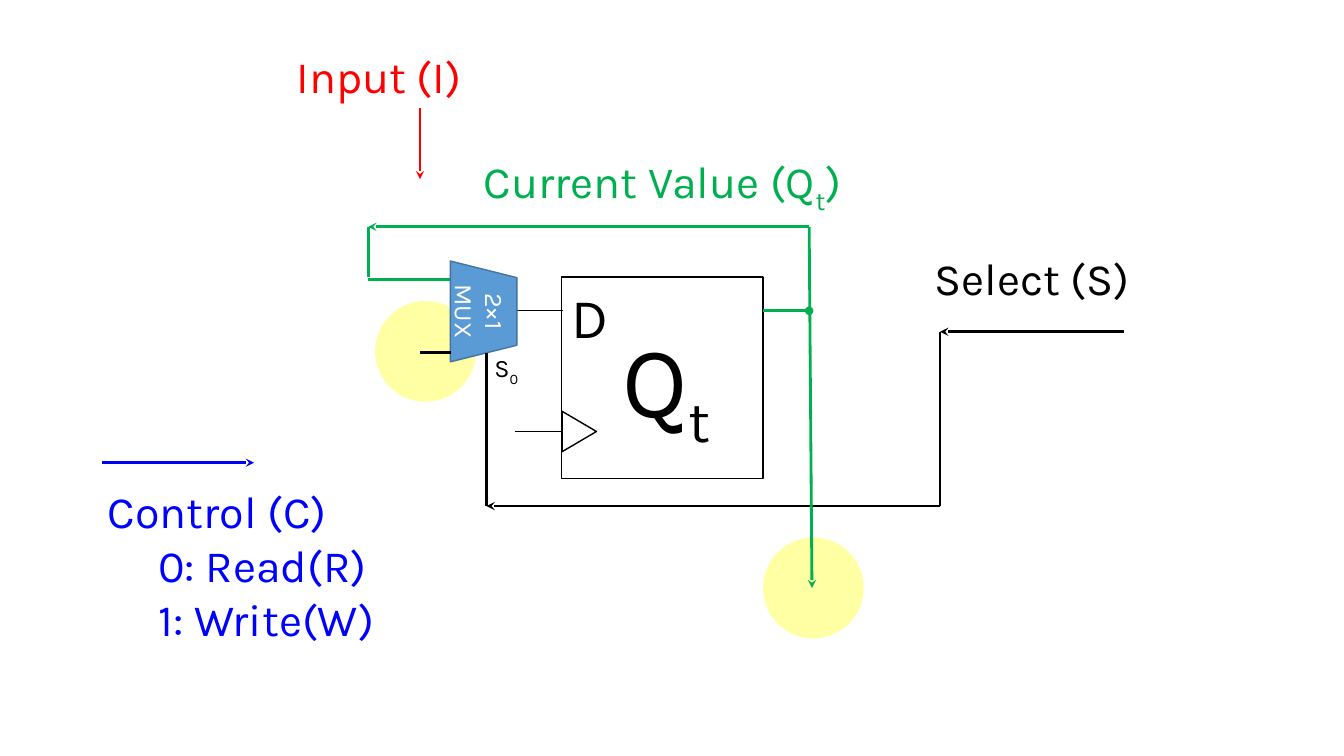
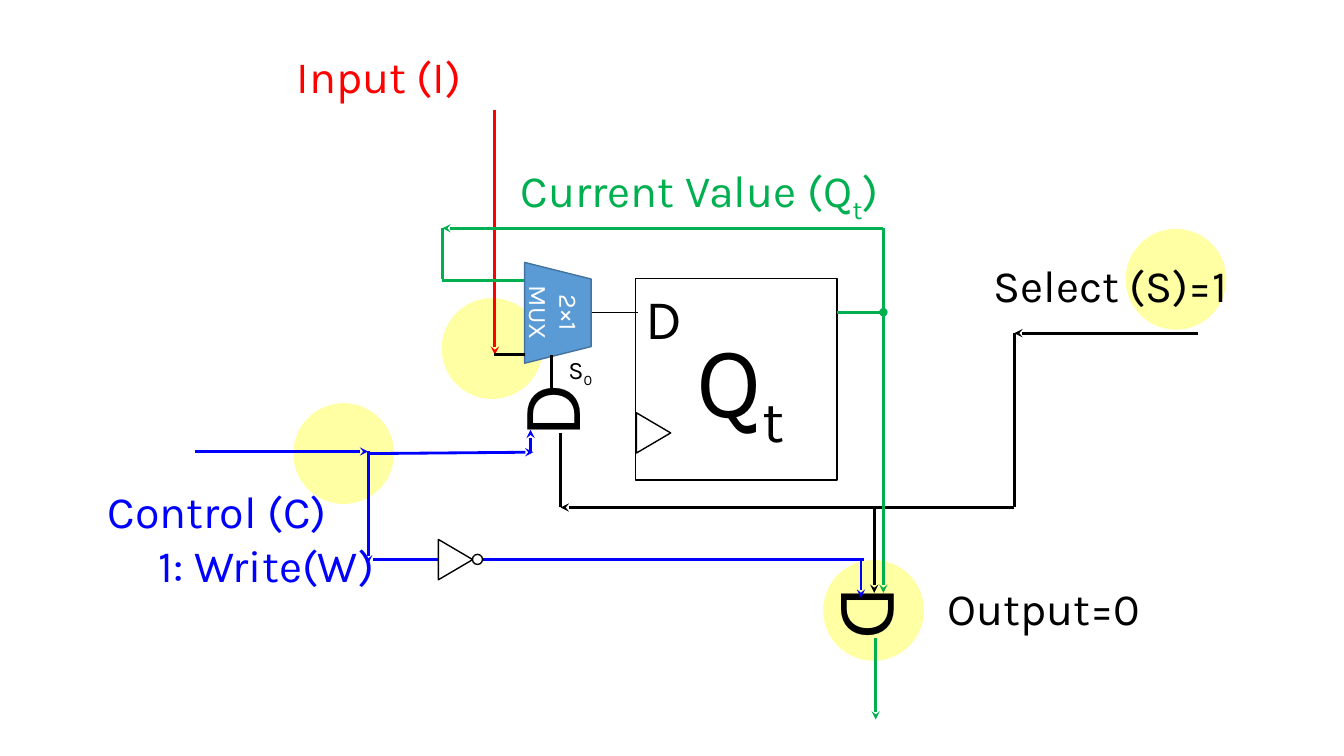
from dataclasses import dataclass

import pptx
import pptx.dml.color
import pptx.enum.shapes
import pptx.enum.text
import pptx.oxml.ns
import pptx.util
from lxml import etree

Pt = pptx.util.Pt
SHAPE = pptx.enum.shapes.MSO_SHAPE
ANCHOR = pptx.enum.text.MSO_ANCHOR
ALIGN = pptx.enum.text.PP_ALIGN


@dataclass(frozen=True)
class Theme:
    font: str = "Karla"
    black: str = "000000"
    white: str = "FFFFFF"
    red: str = "FF0000"
    green: str = "00B050"
    blue: str = "0000FF"
    yellow: str = "FFFF00"
    mux_fill: str = "5B9BD5"
    mux_line: str = "43739E"
    small: int = 18
    label: int = 32
    pin: int = 40
    gate: int = 60
    state: int = 72
    thin: float = 0.5
    outline: float = 1
    wire: float = 2


T = Theme()


def rgb(color):
    return pptx.dml.color.RGBColor.from_string(color)


def add_sub(parent, tag, **attrs):
    return etree.SubElement(parent, pptx.oxml.ns.qn(tag), attrs)


# Text: "_" toggles subscript inside a line
def write(tf, lines, size, color, align=ALIGN.LEFT, indent=0):
    tf.word_wrap = True
    for i, line in enumerate(lines):
        p = tf.add_paragraph() if i else tf.paragraphs[0]
        p.alignment = align
        if i and indent:
            p._p.get_or_add_pPr().set("marL", str(Pt(indent)))
        for j, part in enumerate(line.split("_")):
            r = p.add_run()
            r.text = part
            r.font.name = T.font
            r.font.size = Pt(size)
            r.font.color.rgb = rgb(color)
            if j % 2:
                r.font._element.set("baseline", "-25000")


def label(s, x, y, w, h, lines, color=T.black, size=T.label,
          align=ALIGN.LEFT, rotation=0, indent=0):
    sp = s.shapes.add_textbox(Pt(x), Pt(y), Pt(w), Pt(h))
    sp.rotation = rotation
    write(sp.text_frame, lines, size, color, align, indent)


def caption(s, x, y, text, color):
    label(s, x, y, 286.5, 46, [text], color, align=ALIGN.CENTER)


# Outlined or filled preset shape
def shape(s, kind, x, y, w, h, fill=None, line=None, rotation=0):
    sp = s.shapes.add_shape(kind, Pt(x), Pt(y), Pt(w), Pt(h))
    sp.shadow.inherit = False
    sp.rotation = rotation
    if fill:
        sp.fill.solid()
        sp.fill.fore_color.rgb = rgb(fill)
    else:
        sp.fill.background()
    if line:
        sp.line.color.rgb = rgb(line)
        sp.line.width = Pt(T.outline)
    else:
        sp.line.fill.background()
    return sp


def highlight(s, x, y):
    sp = shape(s, SHAPE.OVAL, x, y, 72, 72, T.yellow)
    color = sp.fill._xPr.find(".//" + pptx.oxml.ns.qn("a:srgbClr"))
    add_sub(color, "a:alpha", val="36000")


def wedge(s, x, y, fill=None):
    shape(s, SHAPE.ISOSCELES_TRIANGLE, x, y, 28.8, 24.5, fill, T.black, 90)


# Straight wire, with an optional tip at its end
def wire(s, x1, y1, x2, y2, color=T.black, tip=None, width=T.wire):
    c = s.shapes.add_connector(pptx.enum.shapes.MSO_CONNECTOR.STRAIGHT,
                               Pt(x1), Pt(y1), Pt(x2), Pt(y2))
    c.line.color.rgb = rgb(color)
    c.line.width = Pt(width)
    if tip:
        add_sub(c.line._get_or_add_ln(), "a:tailEnd", type=tip)
    add_sub(c._element.spPr, "a:effectLst")


def arrow(s, x1, y1, x2, y2, color=T.black):
    wire(s, x1, y1, x2, y2, color, "stealth")


# AND gate drawn as a turned letter D
def and_gate(s, x, y, rotation):
    label(s, x, y, 49.7, 80, ["D"], size=T.gate, rotation=rotation)


# Flip-flop, multiplexer, feedback loop and select line
def memory_cell(s, x, y, select_end):
    sp = shape(s, SHAPE.RECTANGLE, x, y, 144, 144, T.white, T.black)
    sp.text_frame.vertical_anchor = ANCHOR.TOP
    write(sp.text_frame, ["D"], T.pin, T.black)
    wedge(s, x - 1.6, y + 98)
    wire(s, x - 31.5, y + 24, x + 1.5, y + 24, width=T.thin)

    # Feedback of the stored value
    left, right, top = x - 138, x + 177, y - 36
    wire(s, x + 144, y + 24, right, y + 24, T.green, "oval")
    arrow(s, right, top, left, top, T.green)
    wire(s, left, top, left, y, T.green)
    wire(s, left, y + 1.5, x - 79, y + 1.5, T.green)

    # Multiplexer
    sp = shape(s, SHAPE.TRAPEZOID, x - 91.5, y + 0.7, 72, 47.5,
               T.mux_fill, T.mux_line, 90)
    sp.text_frame.vertical_anchor = ANCHOR.MIDDLE
    write(sp.text_frame, ["2×1", "MUX"], T.small, T.white, ALIGN.CENTER)
    wire(s, x - 101, y + 54, x - 79, y + 54)

    # Select line
    pin, corner, base = x - 53.5, x + 270.5, y + 163.5
    arrow(s, x + 402, y + 39, corner, y + 39)
    wire(s, corner, y + 39, corner, base)
    arrow(s, corner, base, pin, base)
    wire(s, pin, base, pin, select_end)

    label(s, x - 55, y + 50.3, 52, 29, ["S_0"], size=T.small)
    label(s, x + 36.5, 222.5, 85, 94.5, ["Q_t"], size=T.state)


def control_text(s, modes):
    label(s, 70, 342, 286.5, 124, ["Control (C)", *modes], T.blue, indent=36)


def inputs_slide(s):
    for x, y in ((268, 215), (545, 384)):
        highlight(s, x, y)
    memory_cell(s, 401, 198, 252)
    wire(s, 368, 308, 401, 308, width=T.thin)
    arrow(s, 300, 77, 300, 128, T.red)
    arrow(s, 578, 162, 580, 420, T.green)
    arrow(s, 73, 330.5, 181.5, 330.5, T.blue)

    control_text(s, ["0: Read(R)", "1: Write(W)"])
    caption(s, 330, 106.5, "Current Value (Q_t_)", T.green)
    caption(s, 127.5, 31, "Input (I)", T.red)
    caption(s, 594, 175.5, "Select (S)", T.black)


def write_slide(s):
    for x, y in ((588, 400), (315.5, 213), (804, 163.5), (209.5, 288)):
        highlight(s, x, y)
    arrow(s, 353.5, 78.5, 353.5, 253.5, T.red)
    memory_cell(s, 454, 199, 309.5)

    # Output gate
    arrow(s, 631, 163, 631, 423.5, T.green)
    and_gate(s, 600, 396, 90)
    arrow(s, 625.5, 456, 625.5, 514, T.green)
    arrow(s, 624.5, 363.5, 624.5, 423.5)

    # Control line, direct and through the inverter
    arrow(s, 139, 322.5, 263, 322.5, T.blue)
    wire(s, 266.5, 399.5, 617, 399.5, T.blue)
    arrow(s, 263, 322.5, 263, 402.5, T.blue)
    arrow(s, 615, 401, 615, 427, T.blue)
    wedge(s, 311, 387.5, T.white)
    shape(s, SHAPE.OVAL, 337.5, 396, 7.2, 7.2, T.white, T.black)

    # Write gate
    and_gate(s, 366.5, 255.5, 270)
    arrow(s, 263, 324, 381, 323, T.blue)
    arrow(s, 379, 322.5, 379, 307, T.blue)
    wire(s, 394, 278.5, 394, 253.5)

    control_text(s, ["1: Write(W)"])
    caption(s, 356.5, 113, "Current Value (Q_t_)", T.green)
    caption(s, 127.5, 31, "Input (I)", T.red)
    caption(s, 650, 180.5, "Select (S)=1", T.black)
    label(s, 669.5, 411, 250, 46, ["Output=0"])


def main():
    prs = pptx.Presentation()
    prs.slide_width, prs.slide_height = Pt(960), Pt(540)
    for build in (inputs_slide, write_slide):
        build(prs.slides.add_slide(prs.slide_layouts[6]))
    prs.save("out.pptx")


if __name__ == "__main__":
    main()
